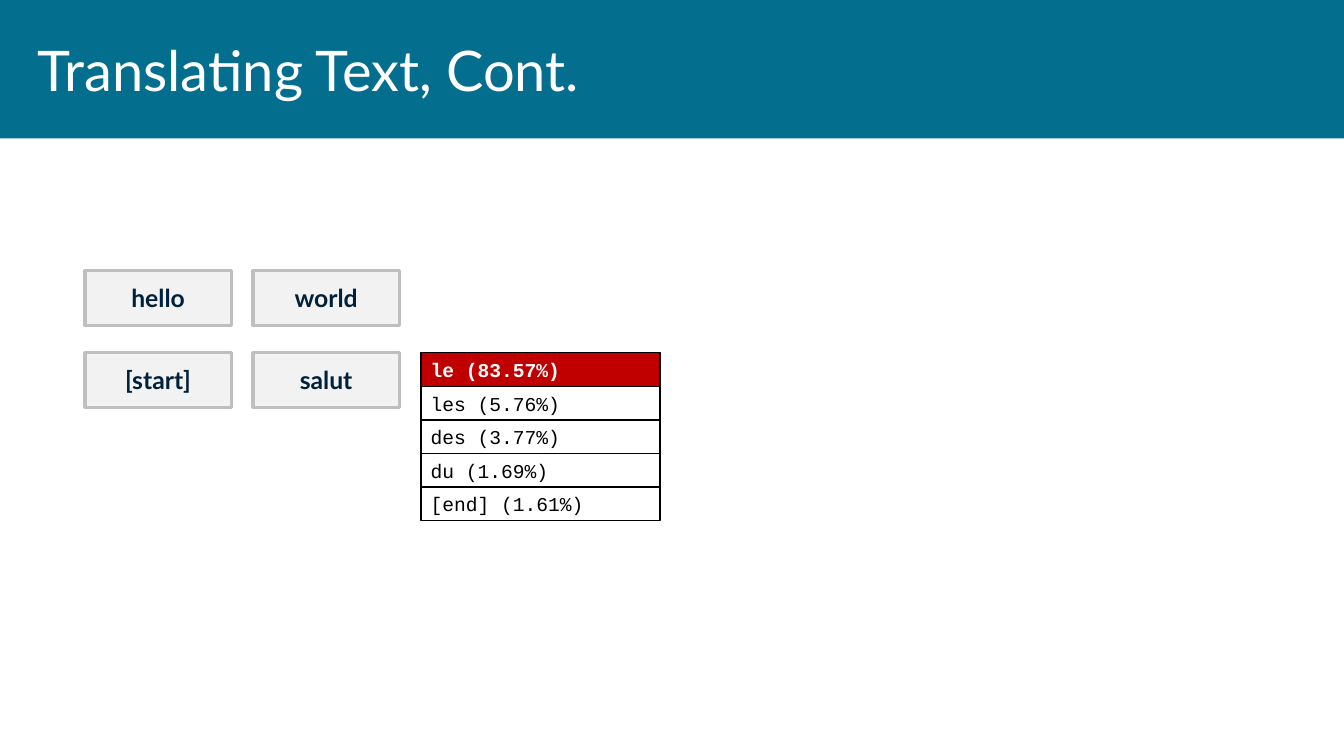
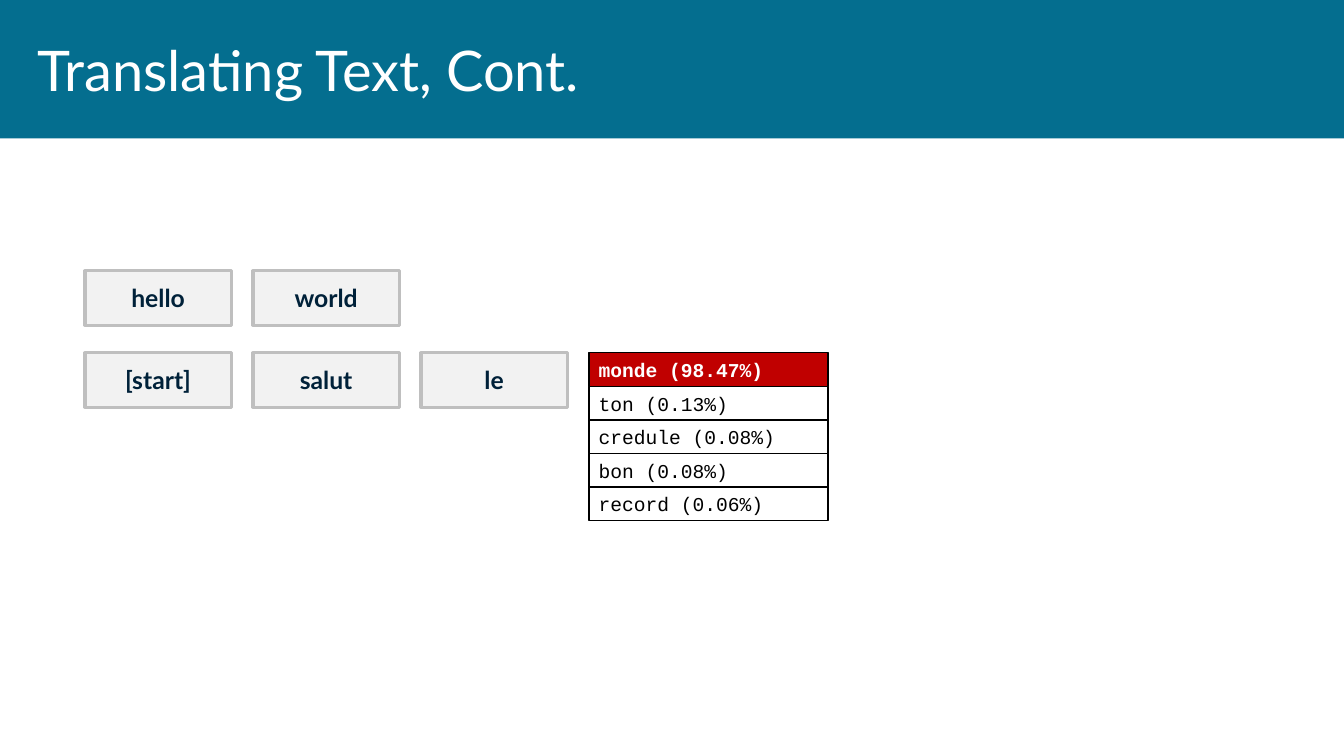
from pptx import Presentation
from pptx.dml.color import RGBColor
from pptx.enum.shapes import MSO_SHAPE
from pptx.enum.text import MSO_ANCHOR, MSO_AUTO_SIZE, PP_ALIGN
from pptx.util import Inches, Pt

# Token grid and candidate list, in inches
LEFT, STEP_X = 0.86, 1.7
SOURCE_Y, TARGET_Y = 2.74, 3.57
TOKEN_W, TOKEN_H = 1.48, 0.55
CANDIDATE_W, CANDIDATE_H = 2.42, 0.34


def rgb(value):
    return RGBColor.from_string(value)


class Deck:
    WHITE, BLACK = "FFFFFF", "000000"
    BAND, CHOSEN = "046E8F", "C00000"
    TOKEN_FILL, TOKEN_LINE, TOKEN_TEXT = "F2F2F2", "BFBFBF", "002139"
    SANS, MONO = "Lato", "Courier New"

    def __init__(self, prs):
        self.prs = prs
        self.layout = prs.slide_layouts[5]
        self.s = None
        title = self.layout.placeholders[0]
        title.left, title.top = Inches(0.28), Inches(0)
        title.width, title.height = Inches(13.03), Inches(1.4)

    def add_slide(self, title):
        first = self.s is None
        self.s = self.prs.slides.add_slide(self.layout)
        if first:
            self.add_band()
        tf = self.s.shapes.title.text_frame
        tf.auto_size = MSO_AUTO_SIZE.NONE
        self.add_text(tf, title, self.SANS, 40.8, self.WHITE)

    def add_band(self):
        # The band belongs to the layout, behind its placeholders
        band = self.add_box(self.s.shapes, 0, 0, 13.6, 1.4, self.BAND)
        self.layout.shapes.element.insert(2, band.element)

    def add_box(self, shapes, x, y, w, h, fill, line=None, weight=1):
        sp = shapes.add_shape(MSO_SHAPE.RECTANGLE, Inches(x), Inches(y),
                              Inches(w), Inches(h))
        sp.shadow.inherit = False
        sp.fill.solid()
        sp.fill.fore_color.rgb = rgb(fill)
        if line:
            sp.line.color.rgb = rgb(line)
            sp.line.width = Pt(weight)
        else:
            sp.line.fill.background()
        return sp

    def add_text(self, tf, text, font, size, color, bold=False,
                 align=PP_ALIGN.LEFT):
        tf.word_wrap = True
        tf.vertical_anchor = MSO_ANCHOR.MIDDLE
        p = tf.paragraphs[0]
        p.alignment = align
        r = p.add_run()
        r.text = text
        r.font.name, r.font.size, r.font.bold = font, Pt(size), bold
        r.font.color.rgb = rgb(color)

    def add_tokens(self, words, y):
        for i, word in enumerate(words):
            sp = self.add_box(self.s.shapes, LEFT + i * STEP_X, y, TOKEN_W,
                              TOKEN_H, self.TOKEN_FILL, self.TOKEN_LINE, 2.25)
            self.add_text(sp.text_frame, word, self.SANS, 18, self.TOKEN_TEXT,
                          True, PP_ALIGN.CENTER)

    def add_candidates(self, column, guesses):
        # The most likely next token comes first and is highlighted
        group = self.s.shapes.add_group_shape()
        for i, (word, percent) in enumerate(guesses):
            chosen = i == 0
            sp = self.add_box(group.shapes, LEFT + column * STEP_X,
                              TARGET_Y + i * CANDIDATE_H,
                              CANDIDATE_W, CANDIDATE_H,
                              self.CHOSEN if chosen else self.WHITE,
                              self.BLACK)
            self.add_text(sp.text_frame, f"{word} ({percent:.2f}%)", self.MONO,
                          14.3, self.WHITE if chosen else self.BLACK, chosen)


# Each step: tokens translated so far, then guesses for the next one
STEPS = [
    (["[start]", "salut"],
     [("le", 83.57), ("les", 5.76), ("des", 3.77), ("du", 1.69),
      ("[end]", 1.61)]),
    (["[start]", "salut", "le"],
     [("monde", 98.47), ("ton", 0.13), ("credule", 0.08), ("bon", 0.08),
      ("record", 0.06)]),
]


def main():
    prs = Presentation()
    prs.slide_width, prs.slide_height = Inches(13.6), Inches(7.65)
    deck = Deck(prs)
    for translated, guesses in STEPS:
        deck.add_slide("Translating Text, Cont.")
        deck.add_tokens(["hello", "world"], SOURCE_Y)
        deck.add_tokens(translated, TARGET_Y)
        deck.add_candidates(len(translated), guesses)
    prs.save("out.pptx")


if __name__ == "__main__":
    main()
